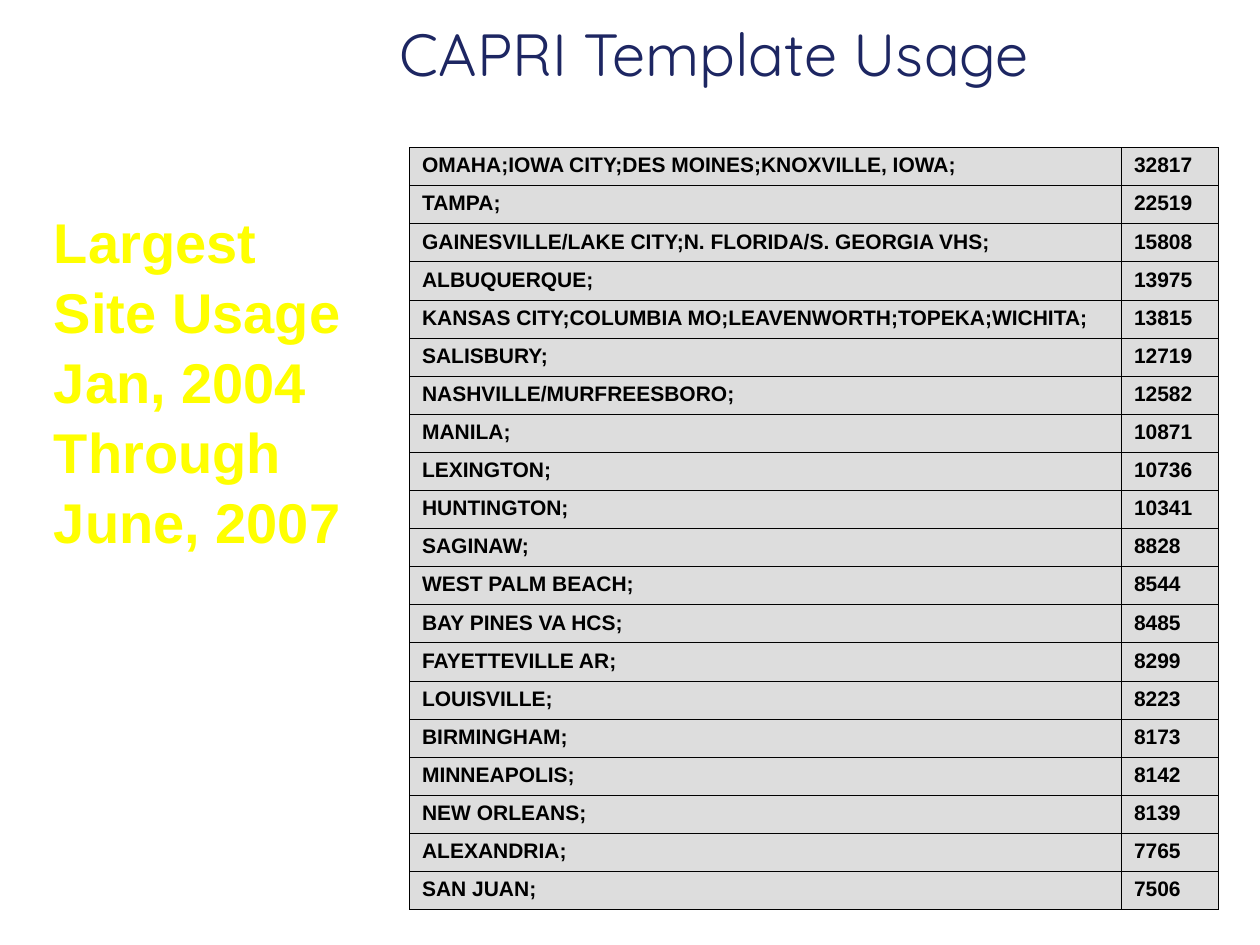
from lxml import etree
from pptx import Presentation
from pptx.dml.color import RGBColor
from pptx.enum.text import MSO_ANCHOR, MSO_AUTO_SIZE, PP_ALIGN
from pptx.oxml.ns import qn
from pptx.util import Inches, Pt

CENTER = PP_ALIGN.CENTER
MIDDLE = MSO_ANCHOR.MIDDLE
NO_FIT = MSO_AUTO_SIZE.NONE
GROW = MSO_AUTO_SIZE.SHAPE_TO_FIT_TEXT
TITLE_ONLY = 5

SITES = [
    ("OMAHA;IOWA CITY;DES MOINES;KNOXVILLE, IOWA;", 32817),
    ("TAMPA;", 22519),
    ("GAINESVILLE/LAKE CITY;N. FLORIDA/S. GEORGIA VHS;", 15808),
    ("ALBUQUERQUE;", 13975),
    ("KANSAS CITY;COLUMBIA MO;LEAVENWORTH;TOPEKA;WICHITA;", 13815),
    ("SALISBURY;", 12719),
    ("NASHVILLE/MURFREESBORO;", 12582),
    ("MANILA;", 10871),
    ("LEXINGTON;", 10736),
    ("HUNTINGTON;", 10341),
    ("SAGINAW;", 8828),
    ("WEST PALM BEACH;", 8544),
    ("BAY PINES VA HCS;", 8485),
    ("FAYETTEVILLE AR;", 8299),
    ("LOUISVILLE;", 8223),
    ("BIRMINGHAM;", 8173),
    ("MINNEAPOLIS;", 8142),
    ("NEW ORLEANS;", 8139),
    ("ALEXANDRIA;", 7765),
    ("SAN JUAN;", 7506),
]


def color(value):
    return RGBColor.from_string(value)


class UsageSlide:
    title_font, body_font = "Quicksand", "Arial"
    navy, yellow, black, gray = "1D2662", "FFFF00", "000000", "DDDDDD"
    outer_line, inner_line = Pt(0.45), Pt(0.34)

    def __init__(self, deck):
        self.slide = deck.slides.add_slide(deck.slide_layouts[TITLE_ONLY])

    def style(self, para, font, size, shade, bold=False):
        for span in para.runs:
            span.font.name = font
            span.font.size = Pt(size)
            span.font.bold = bold
            span.font.color.rgb = color(shade)

    def title(self, text, left, top, width, height):
        box = self.slide.shapes.title
        box.left, box.top, box.width, box.height = map(Inches, (left, top, width, height))
        frame = box.text_frame
        frame.text = text
        frame.auto_size = NO_FIT
        frame.vertical_anchor = MIDDLE
        para = frame.paragraphs[0]
        para.alignment = CENTER
        self.style(para, self.title_font, 34, self.navy)

    def caption(self, text, left, top, width, height):
        box = self.slide.shapes.add_textbox(*map(Inches, (left, top, width, height)))
        frame = box.text_frame
        frame.word_wrap = True
        frame.auto_size = GROW
        frame.text = text
        for para in frame.paragraphs:
            para.line_spacing = 1.04
            self.style(para, self.body_font, 32, self.yellow, bold=True)

    def border(self, cell, side, width):
        properties = cell._tc.get_or_add_tcPr()
        line = etree.SubElement(properties, qn(f"a:ln{side}"), w=str(width))
        fill = etree.SubElement(line, qn("a:solidFill"))
        etree.SubElement(fill, qn("a:srgbClr"), val=self.black)

    def cell(self, cell, text, outer_sides):
        for side in "LRTB":
            self.border(cell, side, self.outer_line if side in outer_sides else self.inner_line)
        cell.fill.solid()
        cell.fill.fore_color.rgb = color(self.gray)
        cell.text = str(text)
        para = cell.text_frame.paragraphs[0]
        hanging = Inches(0.38)
        properties = para._p.get_or_add_pPr()
        properties.set("marL", str(hanging))
        properties.set("indent", str(-hanging))
        self.style(para, self.body_font, 12, self.black, bold=True)

    def table(self, rows, left, top, column_widths, height):
        width = sum(column_widths)
        frame = self.slide.shapes.add_table(
            len(rows), len(column_widths), *map(Inches, (left, top, width, height)))
        table = frame.table
        table.first_row = table.horz_banding = False
        for column, column_width in zip(table.columns, column_widths):
            column.width = Inches(column_width)
        last_row, last_column = len(rows) - 1, len(column_widths) - 1
        for r, values in enumerate(rows):
            for c, value in enumerate(values):
                edges = {"L": c == 0, "R": c == last_column, "T": r == 0, "B": r == last_row}
                outer_sides = [side for side, is_outer in edges.items() if is_outer]
                self.cell(table.cell(r, c), value, outer_sides)


def main():
    deck = Presentation()
    deck.slide_width, deck.slide_height = Inches(10), Inches(7.5)
    page = UsageSlide(deck)
    page.title("CAPRI Template Usage", 1.67, 0, 8, 0.83)
    page.table(SITES, 3.25, 1.17, (5.65, 0.77), 6.05)
    page.caption("Largest Site Usage Jan, 2004\nThrough\nJune, 2007", 0.33, 1.58, 2.58, 2.77)
    deck.save("out.pptx")


if __name__ == "__main__":
    main()
